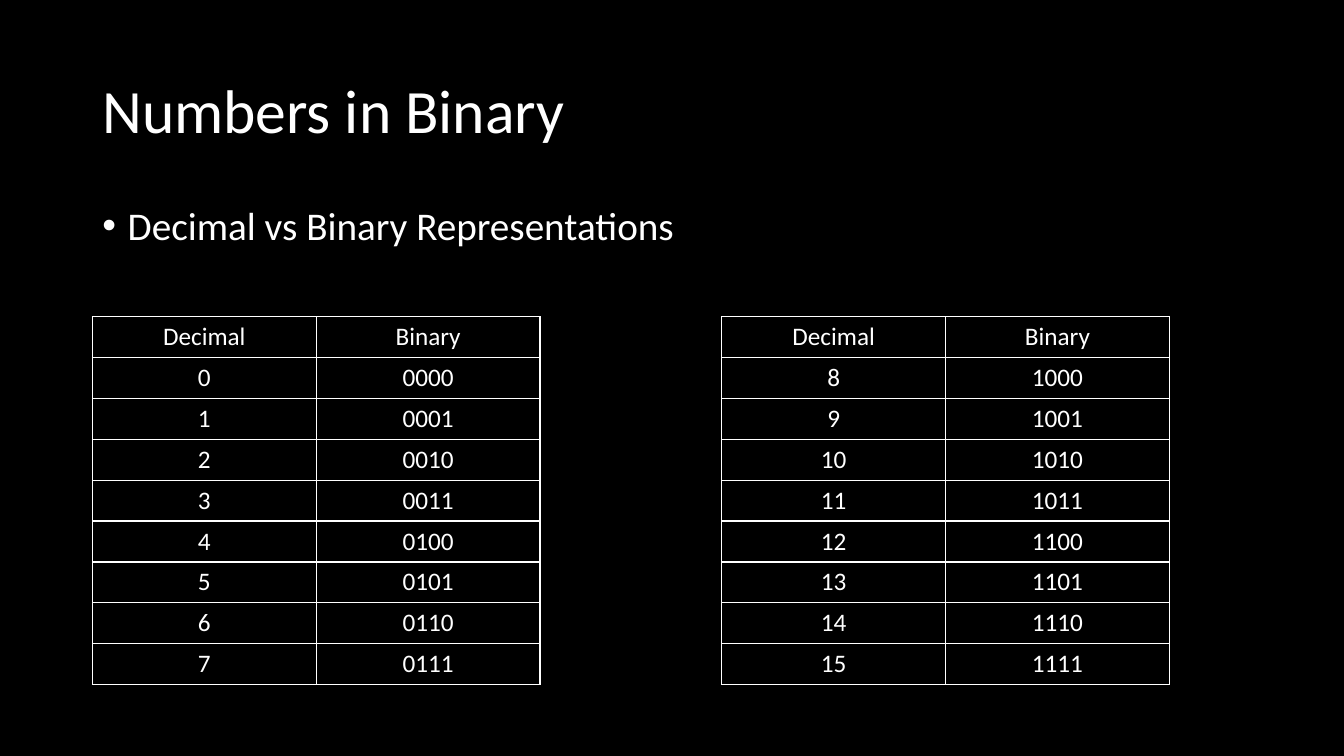
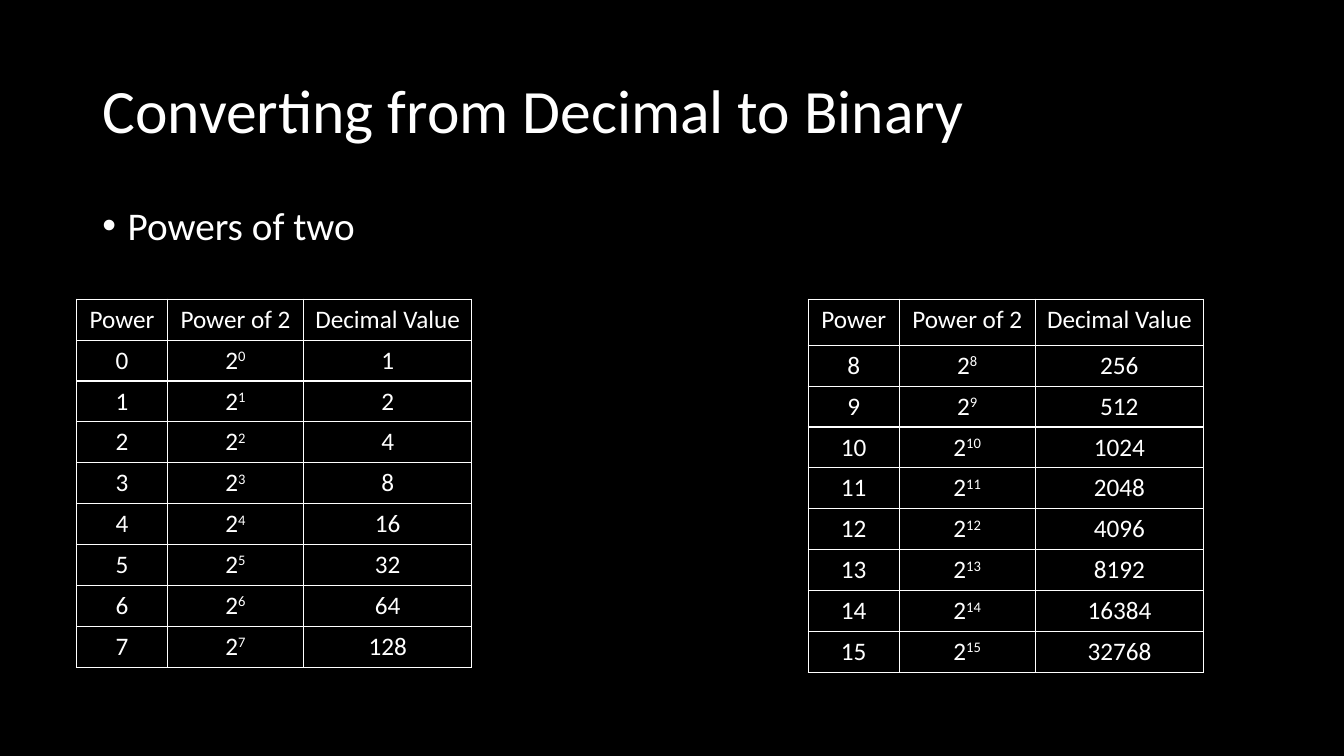
from lxml import etree
from pptx import Presentation
from pptx.dml.color import RGBColor
from pptx.enum.text import MSO_ANCHOR as Anchor, PP_ALIGN as Align
from pptx.oxml import parse_xml
from pptx.oxml.ns import nsdecls, qn
from pptx.util import Cm, Pt

BLACK, WHITE = "000000", "FFFFFF"
FONT = "Calibri"
ROW_H = 1.03
TEXT_LEFT = 2.33


def rgb(color):
    return RGBColor.from_string(color)


def add_run(p, text, size, superscript=False):
    r = p.add_run()
    r.text = text
    r.font.name, r.font.size = FONT, Pt(size)
    r.font.color.rgb = rgb(WHITE)
    if superscript:
        r._r.get_or_add_rPr().set("baseline", "30000")


# A cell is a list of runs; every second run is superscript.
def_rows = [[[str(n)], [f"{n:04b}"]] for n in range(16)]
power_rows = [[[str(n)], ["2", str(n)], [str(2 ** n)]] for n in range(16)]

# Each table: left position and header height; both share the slide's columns.
slides = [
    dict(title="Numbers in Binary", bullet="Decimal vs Binary Representations",
         header=["Decimal", "Binary"], rows=def_rows, widths=[5.64, 5.64],
         top=7.98, tables=[(2.33, ROW_H), (18.19, ROW_H)]),
    dict(title="Converting from Decimal to Binary", bullet="Powers of two",
         header=["Power", "Power of 2", "Decimal Value"], rows=power_rows,
         widths=[2.29, 3.43, 4.24],
         top=7.54, tables=[(1.93, ROW_H), (20.37, 1.16)]),
]

prs = Presentation()
prs.slide_width, prs.slide_height = Cm(33.87), Cm(19.05)

for content in slides:
    s = prs.slides.add_slide(prs.slide_layouts[6])
    s.background.fill.solid()
    s.background.fill.fore_color.rgb = rgb(BLACK)

    # Title
    tf = s.shapes.add_textbox(Cm(TEXT_LEFT), Cm(1.01), Cm(29.21), Cm(3.68)).text_frame
    tf.word_wrap = True
    tf.vertical_anchor = Anchor.MIDDLE
    p = tf.paragraphs[0]
    p.line_spacing = 0.9
    add_run(p, content["title"], 44)

    # Bullet
    tf = s.shapes.add_textbox(Cm(TEXT_LEFT), Cm(5.07), Cm(30.35), Cm(13.56)).text_frame
    tf.word_wrap = True
    p = tf.paragraphs[0]
    p.line_spacing = 0.9
    p.space_before = Pt(10)
    pPr = p._p.get_or_add_pPr()
    pPr.set("marL", str(Cm(0.64)))
    pPr.set("indent", str(-Cm(0.64)))
    etree.SubElement(pPr, qn("a:buFont")).set("typeface", "Arial")
    etree.SubElement(pPr, qn("a:buChar")).set("char", "•")
    add_run(p, content["bullet"], 28)

    # Two tables of eight numbers each
    header = [[name] for name in content["header"]]
    widths = content["widths"]
    for half, (left, header_h) in enumerate(content["tables"]):
        rows = [header] + content["rows"][half * 8:half * 8 + 8]
        height = header_h + ROW_H * (len(rows) - 1)
        table = s.shapes.add_table(len(rows), len(widths), Cm(left), Cm(content["top"]),
                                   Cm(sum(widths)), Cm(height)).table
        table.first_row = table.horz_banding = False
        for column, width in zip(table.columns, widths):
            column.width = Cm(width)
        for i, row in enumerate(rows):
            table.rows[i].height = Cm(ROW_H if i else header_h)
            for j, runs in enumerate(row):
                cell = table.cell(i, j)
                tcPr = cell._tc.get_or_add_tcPr()
                for side in "LRTB":
                    tcPr.append(parse_xml(
                        f'<a:ln{side} {nsdecls("a")} w="{Pt(1)}"><a:solidFill>'
                        f'<a:srgbClr val="{WHITE}"/></a:solidFill></a:ln{side}>'))
                cell.fill.solid()
                cell.fill.fore_color.rgb = rgb(BLACK)
                p = cell.text_frame.paragraphs[0]
                p.alignment = Align.CENTER
                for k, text in enumerate(runs):
                    add_run(p, text, 18, superscript=k == 1)

prs.save("out.pptx")
